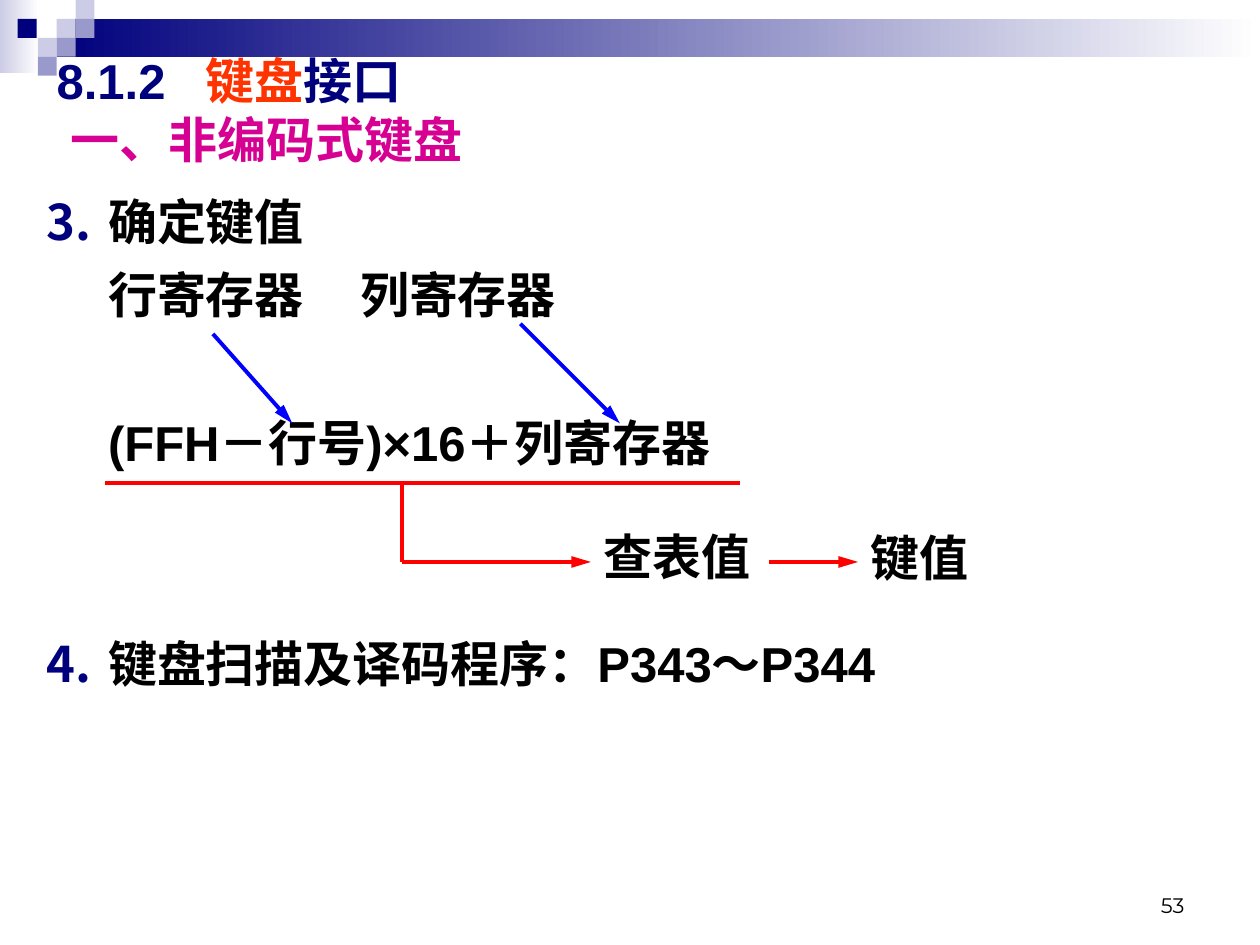
from dataclasses import dataclass
from typing import Optional

import pptx
import pptx.dml.color
import pptx.enum.shapes
import pptx.enum.text
import pptx.oxml
import pptx.oxml.ns
import pptx.util
from lxml import etree

Inches = pptx.util.Inches
Pt = pptx.util.Pt
RGBColor = pptx.dml.color.RGBColor
Anchor = pptx.enum.text.MSO_ANCHOR
Align = pptx.enum.text.PP_ALIGN

NAVY = RGBColor(0x00, 0x00, 0x7D)
LAVENDER = RGBColor(0xCC, 0xCC, 0xE6)
PERIWINKLE = RGBColor(0x99, 0x99, 0xCC)
WHITE = RGBColor(0xFF, 0xFF, 0xFF)
BLACK = RGBColor(0x00, 0x00, 0x00)
ORANGE = RGBColor(0xFF, 0x33, 0x00)
MAGENTA = RGBColor(0xD6, 0x00, 0x93)
BLUE = RGBColor(0x00, 0x00, 0xFF)
RED = RGBColor(0xFF, 0x00, 0x00)


@dataclass
class Block:
    left: float
    top: float
    width: float
    height: float
    color: RGBColor
    fade: bool = False


@dataclass
class Line:
    start: tuple[float, float]
    end: tuple[float, float]
    color: RGBColor
    arrow: bool = True


@dataclass
class Item:
    text: str
    number: Optional[int] = None
    before: float = 5.6


@dataclass
class Label:
    text: str
    left: float
    top: float
    width: float
    height: float = 0.57
    font: str = "Times New Roman"
    size: int = 28
    bold: bool = True
    align: Align = Align.LEFT
    anchor: Anchor = Anchor.TOP


SIDE = 0.15
BLOCKS = [
    Block(0, 0, 0.31, 0.58, LAVENDER, True),
    Block(0.45, 0.15, 9.55, 0.3, NAVY, True),
    Block(0.45, 0.15, SIDE, SIDE, LAVENDER),
    Block(0.6, 0, SIDE, SIDE, LAVENDER),
    Block(0.6, 0.15, SIDE, SIDE, PERIWINKLE),
    Block(0.3, 0.3, SIDE, SIDE, LAVENDER),
    Block(0.14, 0.15, SIDE, SIDE, NAVY),
    Block(0.45, 0.3, SIDE, SIDE, PERIWINKLE),
    Block(0.3, 0.45, SIDE, SIDE, PERIWINKLE),
]
LINES = [
    Line((1.69, 2.65), (2.32, 3.36), BLUE),
    Line((4.13, 2.57), (4.92, 3.36), BLUE),
    Line((0.83, 3.83), (5.87, 3.83), RED, False),
    Line((3.19, 3.83), (3.19, 4.46), RED, False),
    Line((3.19, 4.46), (4.69, 4.46), RED),
    Line((6.1, 4.46), (6.81, 4.46), RED),
]
ITEMS = [
    Item("确定键值", 3, 0),
    Item("行寄存器\t列寄存器"),
    Item("(FFH－行号)×16＋列寄存器", before=48),
    Item("键盘扫描及译码程序：P343～P344", 4, 90),
]
LABELS = [
    Label("查表值", 4.69, 4.13, 1.57),
    Label("键值", 6.81, 4.14, 1.1),
    Label("53", 7.17, 6.83, 2.33, 0.5, "Montserrat", 12, False, Align.RIGHT, Anchor.BOTTOM),
]


def add_child(parent, tag: str, **attributes: str):
    return etree.SubElement(parent, pptx.oxml.ns.qn(tag), attributes)


def add_span(para, text: str, color: RGBColor, font: str = "Arial", size: int = 28, bold: bool = True) -> None:
    span = para.add_run()
    span.text = text
    span.font.name = font
    span.font.size = Pt(size)
    span.font.bold = bold
    span.font.color.rgb = color


def add_block(slide, block: Block) -> None:
    shape = slide.shapes.add_shape(
        pptx.enum.shapes.MSO_SHAPE.RECTANGLE,
        Inches(block.left), Inches(block.top), Inches(block.width), Inches(block.height),
    )
    shape.shadow.inherit = False
    shape.line.fill.background()
    if block.fade:
        shape.fill.gradient()
        shape.fill.gradient_angle = 0
        for stop, color in zip(shape.fill.gradient_stops, (block.color, WHITE)):
            stop.color.rgb = color
    else:
        shape.fill.solid()
        shape.fill.fore_color.rgb = block.color


def add_line(slide, line: Line) -> None:
    connector = slide.shapes.add_connector(
        pptx.enum.shapes.MSO_CONNECTOR.STRAIGHT,
        *map(Inches, line.start), *map(Inches, line.end),
    )
    connector.line.color.rgb = line.color
    connector.line.width = Pt(2.25)
    if line.arrow:
        add_child(connector.line._get_or_add_ln(), "a:tailEnd", type="triangle", w="med", len="lg")
    add_child(connector._element.spPr, "a:effectLst")


def add_box(slide, left: float, top: float, width: float, height: float):
    box = slide.shapes.add_textbox(Inches(left), Inches(top), Inches(width), Inches(height))
    box.text_frame.word_wrap = True
    return box.text_frame


def add_label(slide, label: Label) -> None:
    frame = add_box(slide, label.left, label.top, label.width, label.height)
    frame.vertical_anchor = label.anchor
    para = frame.paragraphs[0]
    para.alignment = label.align
    add_span(para, label.text, BLACK, label.font, label.size, label.bold)


def fill_title(title) -> None:
    title.left, title.top, title.width, title.height = map(Inches, (0.35, 0.36, 9.37, 1.02))
    frame = title.text_frame
    frame.word_wrap = True
    frame.auto_size = pptx.enum.text.MSO_AUTO_SIZE.NONE
    frame.vertical_anchor = Anchor.MIDDLE
    heading = frame.paragraphs[0]
    subheading = frame.add_paragraph()
    for para in (heading, subheading):
        para.alignment = Align.LEFT
        para.space_before = Pt(0)
    tabs = add_child(heading._p.get_or_add_pPr(), "a:tabLst")
    add_child(tabs, "a:tab", pos=str(Inches(1.18)), algn="l")
    subheading._p.get_or_add_pPr().set("marL", str(Inches(0.11)))
    add_span(heading, "8.1.2\t", NAVY)
    add_span(heading, "键盘", ORANGE)
    add_span(heading, "接口", NAVY)
    add_span(subheading, "一、非编码式键盘", MAGENTA)


def add_body(slide, items: list[Item]) -> None:
    frame = add_box(slide, 0.27, 1.47, 9.53, 5.83)
    for index, item in enumerate(items):
        para = frame.add_paragraph() if index else frame.paragraphs[0]
        para.space_before = Pt(item.before)
        para.space_after = Pt(2.8)
        properties = para._p.get_or_add_pPr()
        properties.set("marL", str(Inches(0.49)))
        properties.set("indent", str(Inches(-0.49 if item.number else 0)))
        if item.number:
            add_child(add_child(properties, "a:buClr"), "a:srgbClr", val=str(NAVY))
            add_child(properties, "a:buAutoNum", type="arabicPeriod", startAt=str(item.number))
        add_span(para, item.text, BLACK)


def main() -> None:
    deck = pptx.Presentation()
    deck.slide_width, deck.slide_height = Inches(10), Inches(7.5)
    slide = deck.slides.add_slide(deck.slide_layouts[5])
    fill_title(slide.shapes.title)
    for block in BLOCKS:
        add_block(slide, block)
    add_body(slide, ITEMS)
    for line in LINES:
        add_line(slide, line)
    for label in LABELS:
        add_label(slide, label)
    deck.save("out.pptx")


if __name__ == "__main__":
    main()
